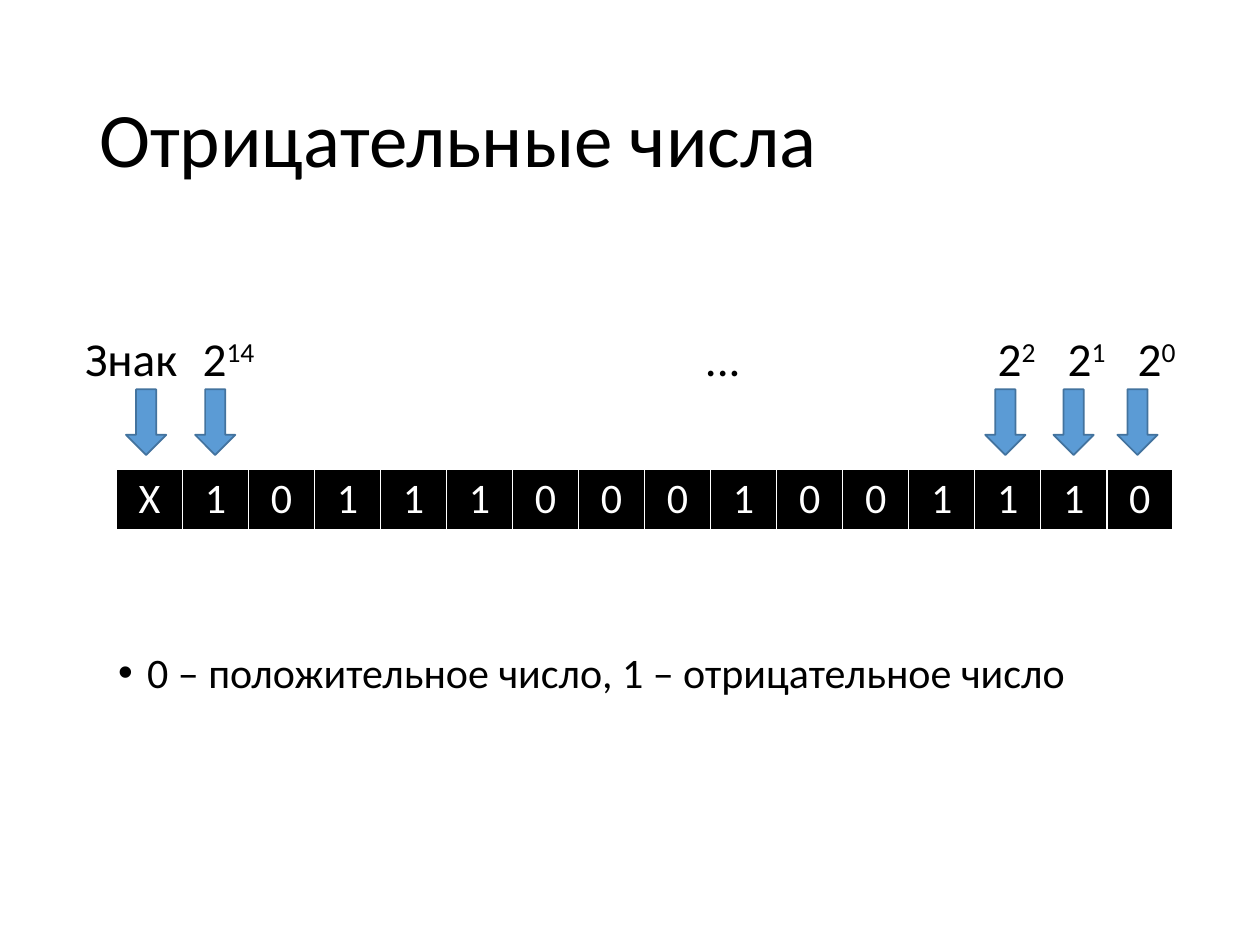
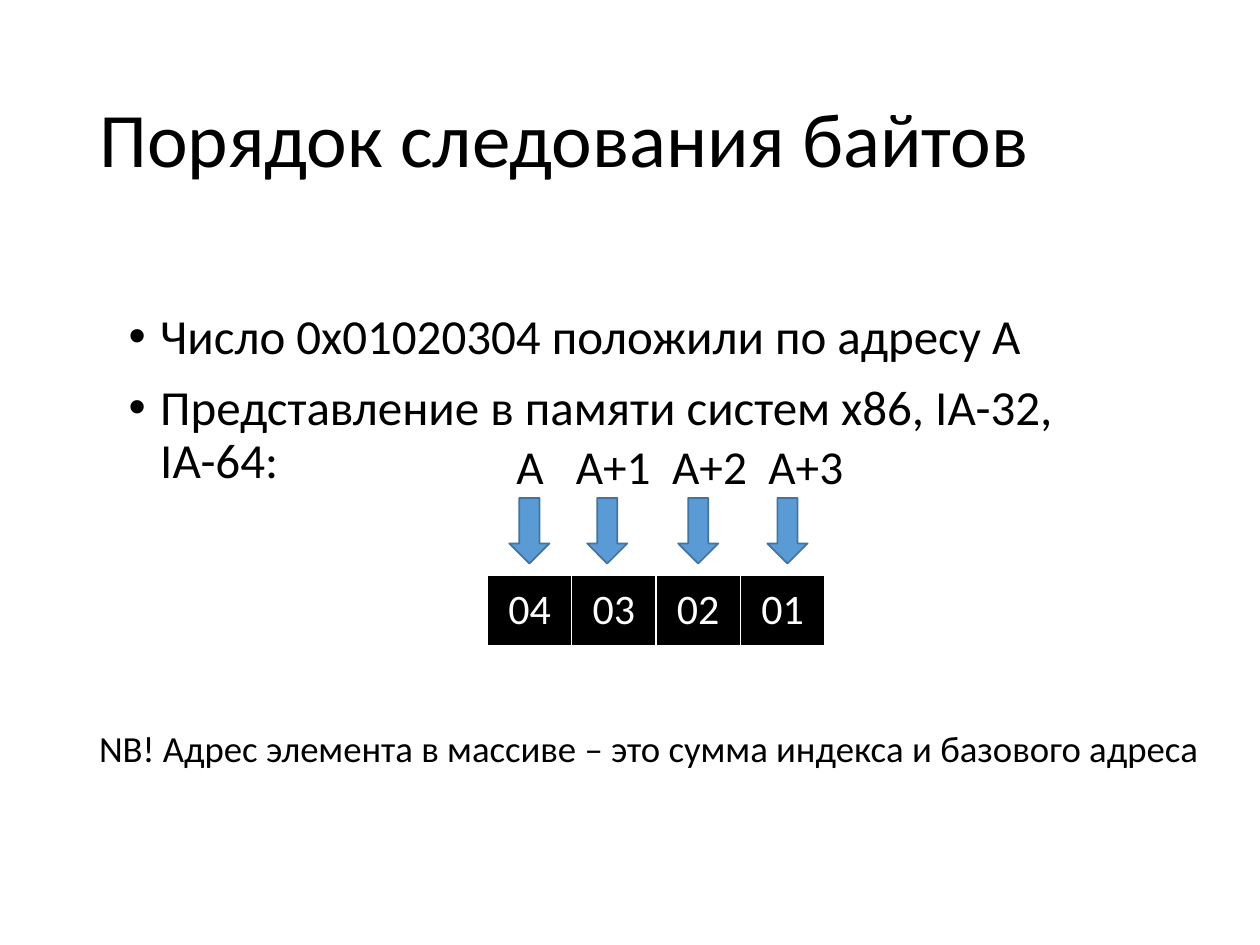
from dataclasses import dataclass

from lxml import etree
from pptx import Presentation
from pptx.dml.color import RGBColor
from pptx.enum.shapes import MSO_SHAPE
from pptx.enum.text import MSO_ANCHOR, MSO_AUTO_SIZE, PP_ALIGN
from pptx.oxml.ns import qn
from pptx.util import Pt

DOWN = MSO_SHAPE.DOWN_ARROW
MIDDLE = MSO_ANCHOR.MIDDLE
FIXED = MSO_AUTO_SIZE.NONE
LEFT, CENTER = PP_ALIGN.LEFT, PP_ALIGN.CENTER


@dataclass(frozen=True)
class Theme:
    face: str = "Calibri"
    ink: RGBColor = RGBColor(0, 0, 0)
    paper: RGBColor = RGBColor(255, 255, 255)
    arrow: RGBColor = RGBColor(0x5B, 0x9B, 0xD5)
    edge: RGBColor = RGBColor(0x43, 0x73, 0x9E)
    title: int = 44
    body: int = 28
    label: int = 27
    cell: int = 24
    note: int = 21


theme = Theme()


def style(para, size, color=theme.ink, align=LEFT):
    """Set the type of a whole paragraph."""
    para.alignment = align
    para.font.name = theme.face
    para.font.size = Pt(size)
    para.font.color.rgb = color
    para.font.bold = False


def write(slide, box, lines, size, indent=0, wrap=True):
    """Add a text box; a positive indent gives its lines bullets."""
    frame = slide.shapes.add_textbox(*map(Pt, box)).text_frame
    frame.word_wrap = wrap
    frame.text = "\n".join(lines)
    for para in frame.paragraphs:
        style(para, size)
        if indent:
            props = para._p.get_or_add_pPr()
            props.set("marL", str(Pt(indent)))
            props.set("indent", str(-Pt(indent)))
            etree.SubElement(props, qn("a:buFont")).set("typeface", "Arial")
            etree.SubElement(props, qn("a:buChar")).set("char", "•")
            # Schema order: default run properties come after the bullet
            props.append(props.find(qn("a:defRPr")))
    return frame


deck = Presentation()
deck.slide_width, deck.slide_height = Pt(720), Pt(540)

# Each memory row: cells, arrows and (left, base, power) labels
pages = [
    dict(
        title="Отрицательные числа",
        cells=list("X101110001001110"),
        grid=(66.5, 268, 37.75, 33.8),
        arrows=(72, 111.5, 563, 602, 638.5), tip=222.5,
        labels=[(41.5, "Знак", ""), (108.7, "2", "14"), (395.7, "...", ""),
                (563, "2", "2"), (603, "2", "1"), (643, "2", "0")],
        level=184.5,
    ),
    dict(
        title="Порядок следования байтов",
        cells=["04", "03", "02", "01"],
        grid=(278.5, 329, 48.2, 40),
        arrows=(291, 335.5, 387.5, 438.5), tip=284.5,
        labels=[(288, "A", ""), (322, "A+1", ""),
                (377, "A+2", ""), (432, "A+3", "")],
        level=246.5,
    ),
]

slides = []
for page in pages:
    slide = deck.slides.add_slide(deck.slide_layouts[5])
    slides.append(slide)

    # Title
    title = slide.shapes.title
    title.left, title.top, title.width, title.height = map(
        Pt, (49.5, 29, 621, 104.5))
    frame = title.text_frame
    frame.text = page["title"]
    frame.auto_size = FIXED
    frame.vertical_anchor = MIDDLE
    style(frame.paragraphs[0], theme.title)
    frame.paragraphs[0].line_spacing = 0.9

    # Memory cells
    left, top, wide, high = page["grid"]
    count = len(page["cells"])
    table = slide.shapes.add_table(
        1, count, Pt(left), Pt(top), Pt(wide * count), Pt(high)).table
    for col, value in enumerate(page["cells"]):
        table.columns[col].width = Pt(wide)
        cell = table.cell(0, col)
        cell.text = value
        cell.fill.solid()
        cell.fill.fore_color.rgb = theme.ink
        cell.vertical_anchor = MIDDLE
        cell.margin_left = cell.margin_right = Pt(5)
        cell.margin_top = cell.margin_bottom = Pt(2.6)
        style(cell.text_frame.paragraphs[0], theme.cell, theme.paper, CENTER)

    # Arrows
    for x in page["arrows"]:
        arrow = slide.shapes.add_shape(
            DOWN, Pt(x), Pt(page["tip"]), Pt(23), Pt(37.5))
        arrow.shadow.inherit = False
        arrow.fill.solid()
        arrow.fill.fore_color.rgb = theme.arrow
        arrow.line.color.rgb = theme.edge
        arrow.line.width = Pt(1)

    # Labels
    for x, base, power in page["labels"]:
        frame = write(slide, (x, page["level"], 70, 40), [base],
                      theme.label, wrap=False)
        if power:
            run = frame.paragraphs[0].add_run()
            run.text = power
            run.font._element.set("baseline", "30000")

# Notes on the sign bit and the byte order
sign, order = slides
write(sign, (60.5, 366, 601, 36),
      ["0 – положительное число, 1 – отрицательное число"],
      theme.cell, indent=16.5)

frame = write(order, (66.5, 175, 604, 213),
              ["Число 0x01020304 положили по адресу А",
               "Представление в памяти систем x86, IA-32, IA-64:"],
              theme.body, indent=18)
for para in frame.paragraphs:
    para.line_spacing = 0.9
    para.space_before = Pt(10)

write(order, (49.5, 411, 649.5, 32.5),
      ["NB! Адрес элемента в массиве – это сумма индекса и базового адреса"],
      theme.note, wrap=False)

deck.save("out.pptx")
